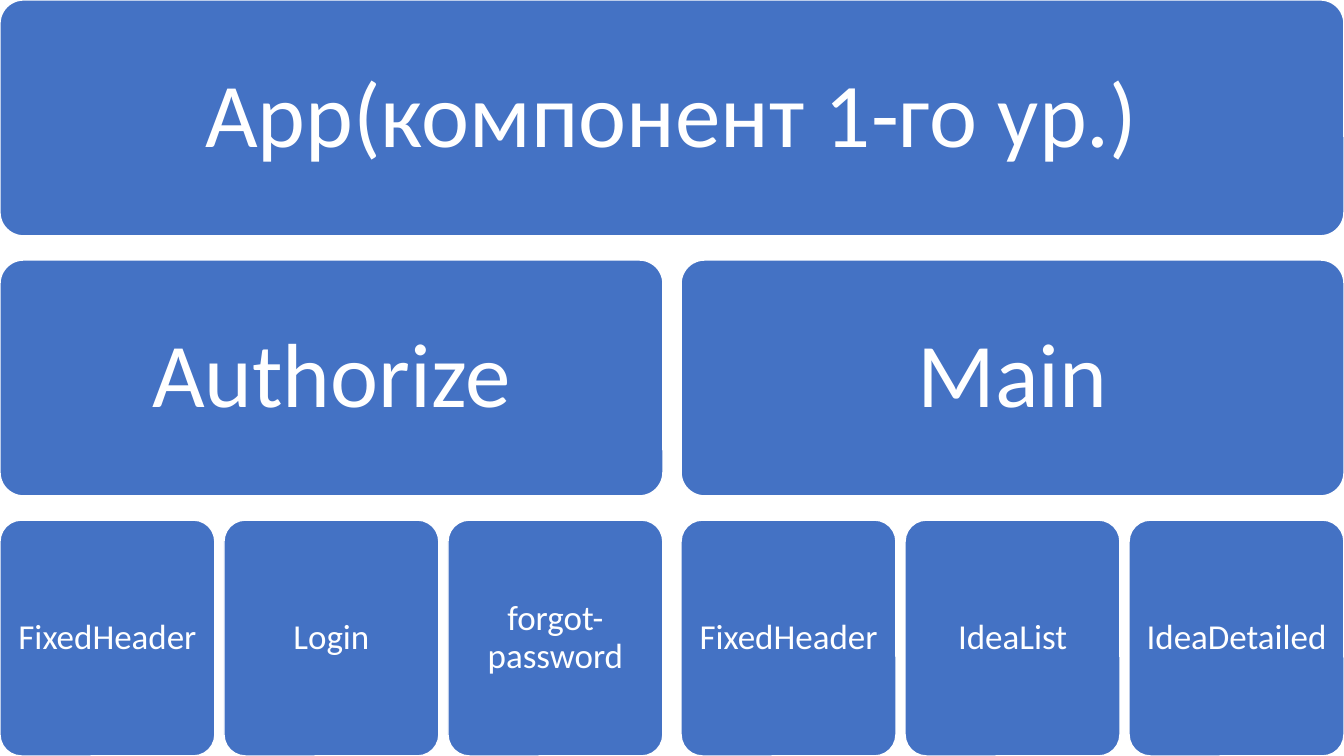
import pptx
import pptx.util
import pptx.dml.color
import pptx.enum.shapes
import pptx.enum.text

WIDE, HIGH = 13.33, 7.5
COLORS = {"box": "4472C4", "edge": "FFFFFF", "text": "FFFFFF"}
ROW = 2.34 / HIGH          # height of a tier, as a share of the slide
STEP = (1 - ROW) / 2       # from one tier's top to the next
GAPS = [0.18 / WIDE, 0.09 / WIDE]  # between siblings, by tier of the parent
SIZES = [65, 65, 25]
PADS = [0.27, 0.27, 0.09]

TREE = ("App(компонент 1-го ур.)", [
    ("Authorize", [("FixedHeader", []), ("Login", []), ("forgot-password", [])]),
    ("Main", [("FixedHeader", []), ("IdeaList", []), ("IdeaDetailed", [])]),
])


def color(name):
    """Return the named colour."""
    return pptx.dml.color.RGBColor.from_string(COLORS[name])


def card(slide, label, left, top, width, tier):
    """Draw one rounded card; its place is in shares of the slide."""
    inch = pptx.util.Inches
    shape = slide.shapes.add_shape(
        pptx.enum.shapes.MSO_SHAPE.ROUNDED_RECTANGLE,
        inch(left * WIDE), inch(top * HIGH), inch(width * WIDE), inch(ROW * HIGH))
    shape.adjustments[0] = 0.1
    shape.shadow.inherit = False
    shape.fill.solid()
    shape.fill.fore_color.rgb = color("box")
    shape.line.color.rgb = color("edge")
    shape.line.width = pptx.util.Pt(1)

    frame = shape.text_frame
    frame.text = label
    frame.word_wrap = True
    frame.vertical_anchor = pptx.enum.text.MSO_ANCHOR.MIDDLE
    pad = inch(PADS[tier])
    frame.margin_left = frame.margin_right = pad
    frame.margin_top = frame.margin_bottom = pad
    para = frame.paragraphs[0]
    para.alignment = pptx.enum.text.PP_ALIGN.CENTER
    para.line_spacing = 0.9
    font = para.runs[0].font
    font.name = "Calibri"
    font.size = pptx.util.Pt(SIZES[tier])
    font.color.rgb = color("text")


def branch(slide, node, left, top, width, tier=0):
    """Draw a node and share its width evenly among its children below."""
    label, kids = node
    card(slide, label, left, top, width, tier)
    if not kids:
        return
    gap = GAPS[tier]
    part = (width - gap * (len(kids) - 1)) / len(kids)
    for col, kid in enumerate(kids):
        branch(slide, kid, left + col * (part + gap), top + STEP, part, tier + 1)


def main():
    """Build the slide of the component tree and save it."""
    deck = pptx.Presentation()
    deck.slide_width = pptx.util.Inches(WIDE)
    deck.slide_height = pptx.util.Inches(HIGH)
    slide = deck.slides.add_slide(deck.slide_layouts[6])
    branch(slide, TREE, 0, 0, 1)
    deck.save("out.pptx")


main()
